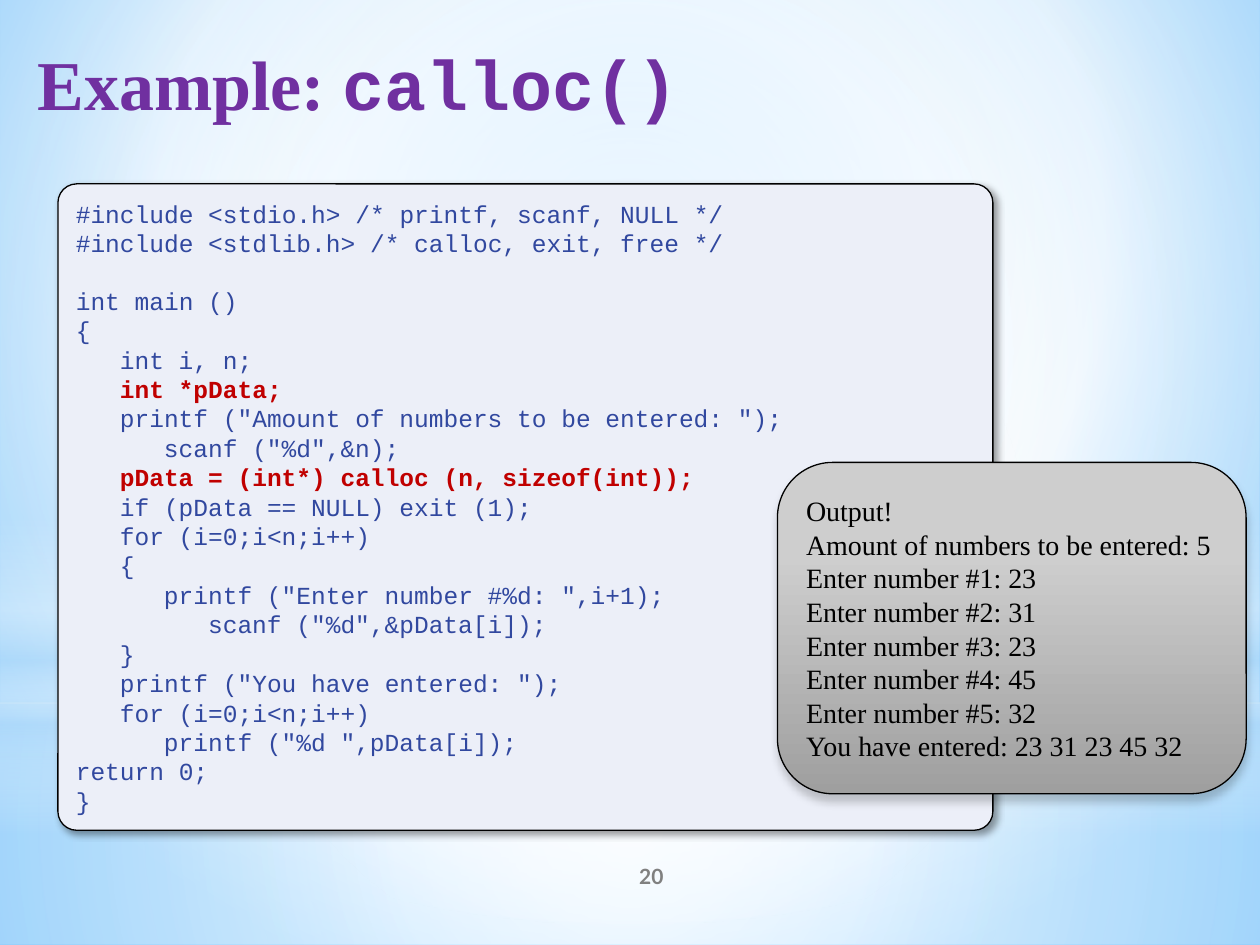
from lxml.etree import SubElement
from pptx import Presentation
from pptx.dml.color import RGBColor
from pptx.enum.shapes import MSO_SHAPE as Shape
from pptx.enum.text import MSO_ANCHOR as Anchor, PP_ALIGN as Align
from pptx.oxml.ns import qn
from pptx.util import Inches, Pt

SERIF, MONO, SANS = "Times New Roman", "Courier New", "Lato"
PURPLE, BLUE, RED, BLACK, GRAY = "7030A0", "31489F", "C00000", "000000", "808080"
WHITE, SKY = "FFFFFF", "B4DCFA"
CENTER = (50, 50, 50, 50)

BACKDROP = dict(stops=[(0, "9ED5FF", 100), (60, WHITE, 100), (100, "5BB9FF", 100)],
                focus=(20, 10, 20, 60))
GLOWS = [
    (Shape.RECTANGLE, (0, 5.58, 10, 1.92),
     dict(stops=[(0, WHITE, 91), (37, WHITE, 76), (100, SKY, 79)], focus=CENTER)),
    (Shape.RECTANGLE, (0, 0, 10, 5.58),
     dict(stops=[(0, WHITE, 89), (48, WHITE, 62), (100, SKY, 79)], focus=CENTER)),
    (Shape.RECTANGLE, (0, 4.12, 10, 2.5),
     dict(stops=[(0, WHITE, 0), (29, WHITE, 30), (45, SKY, 40),
                 (55, WHITE, 26), (65, SKY, 60), (100, WHITE, 0)])),
    (Shape.OVAL, (0, 1.75, 10, 5.58),
     dict(stops=[(0, WHITE, 100), (56, WHITE, 0)], focus=CENTER)),
]
OUTPUT_GRADIENT = dict(stops=[(28, "CECECE", 100), (100, "9F9F9F", 100)])

TITLE = [("Example: ", SERIF), ("calloc()", MONO)]
PAGE_NUMBER = "20"

INDENT = 0.35
CODE_SECTIONS = [
    [(0, "#include <stdio.h> /* printf, scanf, NULL */"),
     (0, "#include <stdlib.h> /* calloc, exit, free */")],
    [(0, "int main ()"),
     (0, "{"),
     (1, "int i, n;"),
     (1, "int *pData;"),
     (1, 'printf ("Amount of numbers to be entered: ");'),
     (2, 'scanf ("%d",&n);'),
     (1, "pData = (int*) calloc (n, sizeof(int));"),
     (1, "if (pData == NULL) exit (1);"),
     (1, "for (i=0;i<n;i++)"),
     (1, "{"),
     (2, 'printf ("Enter number #%d: ",i+1);'),
     (3, 'scanf ("%d",&pData[i]);'),
     (1, "}"),
     (1, 'printf ("You have entered: ");'),
     (1, "for (i=0;i<n;i++)"),
     (2, 'printf ("%d ",pData[i]);'),
     (0, "return 0;"),
     (0, "}")],
]
KEY_LINES = {"int *pData;", "pData = (int*) calloc (n, sizeof(int));"}

ENTERED = [23, 31, 23, 45, 32]
OUTPUT_LINES = [
    "Output!",
    f"Amount of numbers to be entered: {len(ENTERED)}",
    *[f"Enter number #{i}: {number}" for i, number in enumerate(ENTERED, 1)],
    "You have entered: " + " ".join(map(str, ENTERED)),
]


def rgb(color):
    return RGBColor.from_string(color)


def add_color(parent, color, opacity):
    node = SubElement(parent, qn("a:srgbClr"), val=color)
    if opacity < 100:
        SubElement(node, qn("a:alpha"), val=str(opacity * 1000))


def set_gradient(fill, owner, stops, focus=None):
    fill.gradient()
    gradient = next(owner.iter(qn("a:gradFill")))
    gradient.clear()
    gradient.set("rotWithShape", "1")
    stop_list = SubElement(gradient, qn("a:gsLst"))
    for position, color, opacity in stops:
        add_color(SubElement(stop_list, qn("a:gs"), pos=str(position * 1000)), color, opacity)
    if focus:
        route = SubElement(gradient, qn("a:path"), path="circle")
        sides = {side: str(value * 1000) for side, value in zip("ltrb", focus)}
        SubElement(route, qn("a:fillToRect"), **sides)
    else:
        SubElement(gradient, qn("a:lin"), ang="5400000", scaled="0")


def add_panel(slide, kind, place):
    panel = slide.shapes.add_shape(kind, *map(Inches, place))
    panel.shadow.inherit = False
    panel.line.fill.background()
    return panel


def add_card(slide, place, opacity, blur, distance, angle):
    card = add_panel(slide, Shape.ROUNDED_RECTANGLE, place)
    card.line.color.rgb = rgb(BLACK)
    card.line.width = Pt(0.75)
    effects = next(card.element.iter(qn("a:effectLst")))
    shadow = SubElement(effects, qn("a:outerShdw"), blurRad=str(Pt(blur)),
                        dist=str(Pt(distance)), dir=str(angle * 60000),
                        algn="ctr", rotWithShape="0")
    add_color(shadow, BLACK, opacity)
    card.text_frame.word_wrap = True
    card.text_frame.vertical_anchor = Anchor.MIDDLE
    return card


def add_label(slide, place, anchor):
    frame = slide.shapes.add_textbox(*map(Inches, place)).text_frame
    frame.word_wrap = True
    frame.vertical_anchor = anchor
    return frame


def next_line(frame, first, align=Align.LEFT):
    line = frame.paragraphs[0] if first else frame.add_paragraph()
    line.alignment = align
    return line


def add_run(line, text, font, size, color, bold=False):
    run = line.add_run()
    run.text = text
    run.font.name = font
    run.font.size = Pt(size)
    run.font.bold = bold
    run.font.color.rgb = rgb(color)


def main():
    deck = Presentation()
    deck.slide_width, deck.slide_height = Inches(10), Inches(7.5)
    slide = deck.slides.add_slide(deck.slide_layouts[6])

    set_gradient(slide.background.fill, slide.element, **BACKDROP)
    for kind, place, gradient in GLOWS:
        glow = add_panel(slide, kind, place)
        set_gradient(glow.fill, glow.element, **gradient)

    heading = next_line(add_label(slide, (0.2, 0.27, 9.53, 1.19), Anchor.TOP), True)
    for text, font in TITLE:
        add_run(heading, text, font, 40, PURPLE, True)

    footer = add_label(slide, (4.17, 6.75, 2, 0.4), Anchor.MIDDLE)
    add_run(next_line(footer, True, Align.CENTER), PAGE_NUMBER, SANS, 12, GRAY, True)

    code = add_card(slide, (0.46, 1.46, 7.42, 5.13), 40, 4, 3, 45)
    code.adjustments[0] = 0.029
    code.fill.solid()
    code.fill.fore_color.rgb = rgb("ECEFF8")
    for section, statements in enumerate(CODE_SECTIONS):
        for row, (depth, text) in enumerate(statements):
            line = next_line(code.text_frame, section == row == 0)
            line._p.get_or_add_pPr().set("marL", str(Inches(depth * INDENT)))
            if section and row == 0:
                line.space_before = Pt(16)
            is_key = text in KEY_LINES
            add_run(line, text, MONO, 14, RED if is_key else BLUE, is_key)

    output = add_card(slide, (6.17, 3.67, 3.72, 2.63), 20, 5, 4, 90)
    set_gradient(output.fill, output.element, **OUTPUT_GRADIENT)
    for row, text in enumerate(OUTPUT_LINES):
        add_run(next_line(output.text_frame, row == 0), text, SERIF, 16, BLACK)

    deck.save("out.pptx")


if __name__ == "__main__":
    main()
